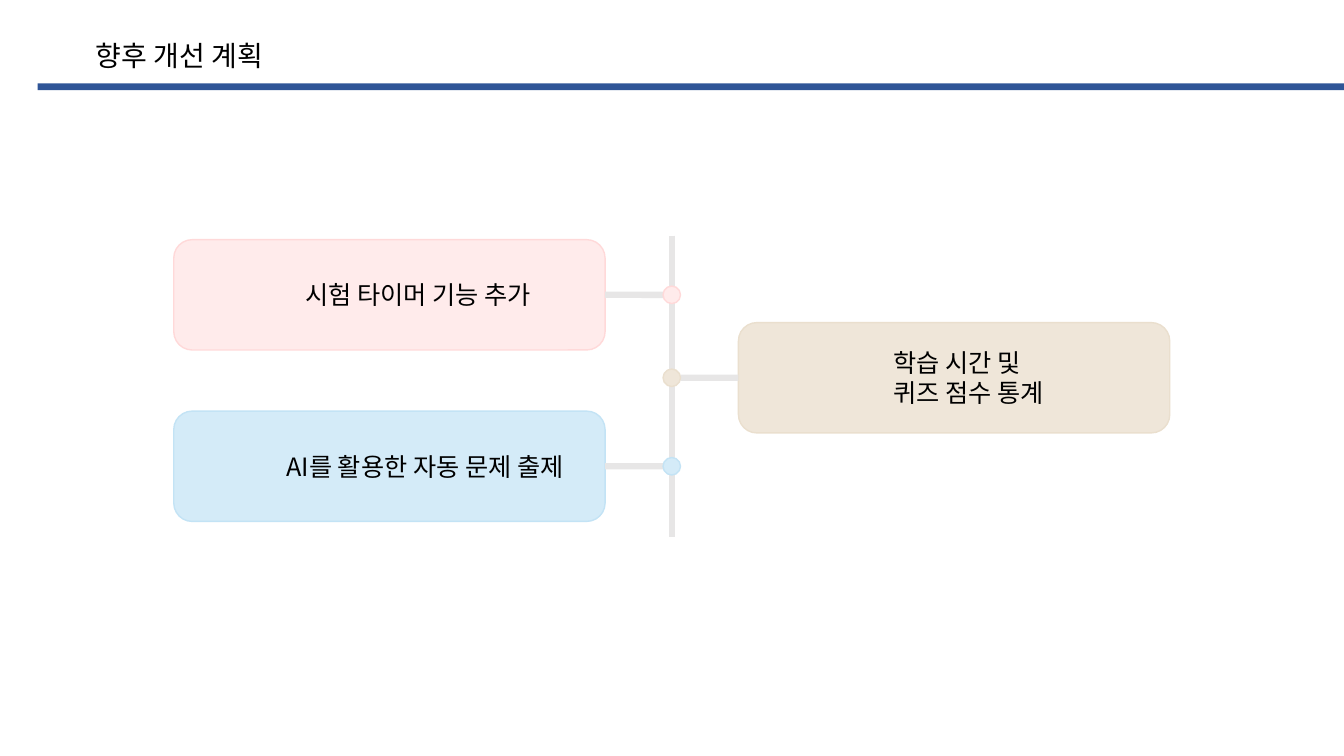
from collections import namedtuple
from dataclasses import dataclass

from lxml.etree import SubElement
from pptx import Presentation
from pptx.dml.color import RGBColor
from pptx.enum.shapes import MSO_CONNECTOR, MSO_SHAPE
from pptx.enum.text import MSO_AUTO_SIZE as AutoSize
from pptx.oxml.ns import qn
from pptx.util import Cm, Pt

Box = namedtuple("Box", "left top width height")
Plan = namedtuple("Plan", "text side offset indent text_width fill edge")


@dataclass(frozen=True)
class Theme:
    """Colours, font and sizes of the slide."""
    font: str = "Noto Sans CJK KR"
    title_size: int = 20
    plan_size: int = 18
    text: str = "000000"
    rule: str = "2F5597"
    track: str = "E7E6E6"
    track_width: float = 4.5
    edge_width: float = 1


THEME = Theme()
CARD_WIDTH, CARD_HEIGHT, DOT = 10.87, 2.78, 0.44
PLANS = [
    Plan("시험 타이머 기능 추가", "left", 0.1, 3.07, 6.96, "FFEBEB", "FFD9D9"),
    Plan("학습 시간 및\n퀴즈 점수 통계", "right", 2.19, 3.66, 4.83, "EFE6D9", "EADFCE"),
    Plan("AI를 활용한 자동 문제 출제", "left", 4.42, 2.59, 8.43, "D4EBF8", "C3E3F5"),
]


def add_block(slide, preset, box, fill, edge=None):
    """Add a flat filled shape, outlined when an edge colour is given."""
    block = slide.shapes.add_shape(preset, *map(Cm, box))
    block.shadow.inherit = False
    block.fill.solid()
    block.fill.fore_color.rgb = RGBColor.from_string(fill)
    if edge:
        block.line.color.rgb = RGBColor.from_string(edge)
        block.line.width = Pt(THEME.edge_width)
    else:
        block.line.fill.background()
    return block


def add_track(slide, *ends):
    """Add a grey straight line between two points."""
    track = slide.shapes.add_connector(MSO_CONNECTOR.STRAIGHT, *map(Cm, ends))
    track.line.color.rgb = RGBColor.from_string(THEME.track)
    track.line.width = Pt(THEME.track_width)
    SubElement(track._element.spPr, qn("a:effectLst"))
    return track


def add_label(slide, text, box, size):
    """Add unwrapped text, one paragraph a line."""
    frame = slide.shapes.add_textbox(*map(Cm, box)).text_frame
    frame.word_wrap = False
    frame.auto_size = AutoSize.SHAPE_TO_FIT_TEXT
    frame.text = text
    for paragraph in frame.paragraphs:
        for run in paragraph.runs:
            run.font.name = THEME.font
            run.font.size = Pt(size)
            run.font.color.rgb = RGBColor.from_string(THEME.text)
            SubElement(run.font._element, qn("a:ea"), typeface=THEME.font)


def add_header(slide, box, title):
    """Place the title above a rule along the bottom of the box."""
    rule_height = 0.17
    rule_top = box.top + box.height - rule_height
    add_block(slide, MSO_SHAPE.RECTANGLE,
              Box(box.left, rule_top, box.width, rule_height), THEME.rule)
    add_label(slide, title, Box(box.left + 1.21, box.top, 5.28, 1.12), THEME.title_size)


def add_plan(slide, box, plan):
    """Place one plan's card, its text, and the branch and dot on the axis."""
    axis = box.left + box.width / 2
    on_left = plan.side == "left"
    card_left = box.left if on_left else box.left + box.width - CARD_WIDTH
    card_top = box.top + plan.offset
    middle = card_top + CARD_HEIGHT / 2
    card = add_block(slide, MSO_SHAPE.ROUNDED_RECTANGLE,
                     Box(card_left, card_top, CARD_WIDTH, CARD_HEIGHT), plan.fill, plan.edge)
    dot_side = axis - DOT / 2 if on_left else axis + DOT / 2
    branch = add_track(slide, dot_side, middle, card_left, middle)
    branch.end_connect(card, 3 if on_left else 1)
    add_block(slide, MSO_SHAPE.OVAL,
              Box(axis - DOT / 2, middle - DOT / 2, DOT, DOT), plan.fill, plan.edge)
    text_height = 0.24 + 0.78 * len(plan.text.split("\n"))
    add_label(slide, plan.text,
              Box(card_left + plan.indent, middle - text_height / 2,
                  plan.text_width, text_height), THEME.plan_size)


def add_timeline(slide, box, plans):
    """Draw the central axis and hang the plans on its two sides."""
    axis = box.left + box.width / 2
    add_track(slide, axis, box.top, axis, box.top + box.height)
    for plan in plans:
        add_plan(slide, box, plan)


def main():
    """Build and save the slide."""
    deck = Presentation()
    deck.slide_width, deck.slide_height = Cm(33.87), Cm(19.05)
    slide = deck.slides.add_slide(deck.slide_layouts[6])
    add_header(slide, Box(0.95, 0.84, 32.92, 1.43), "향후 개선 계획")
    add_timeline(slide, Box(4.38, 5.94, 25.1, 7.6), PLANS)
    deck.save("out.pptx")


if __name__ == "__main__":
    main()
